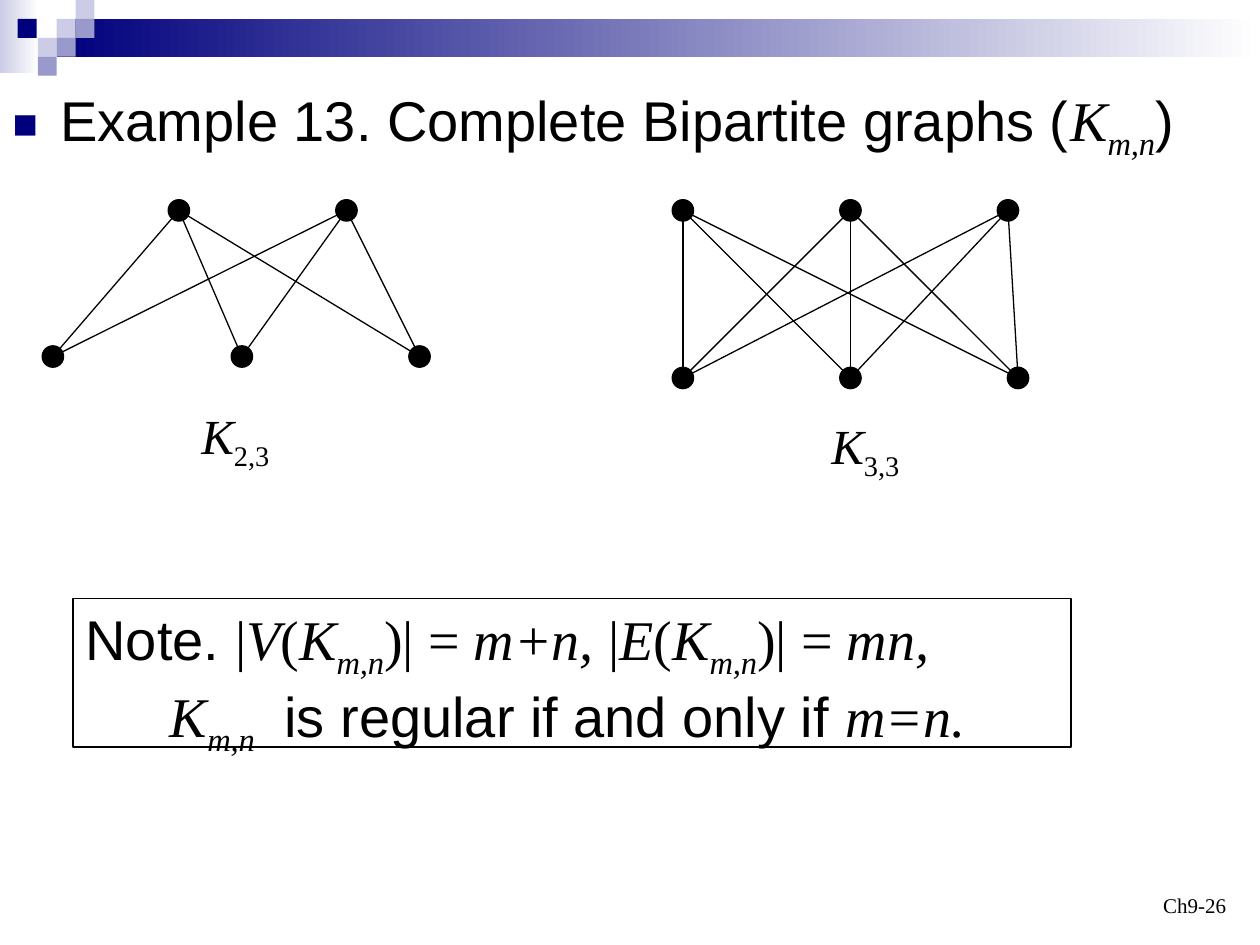
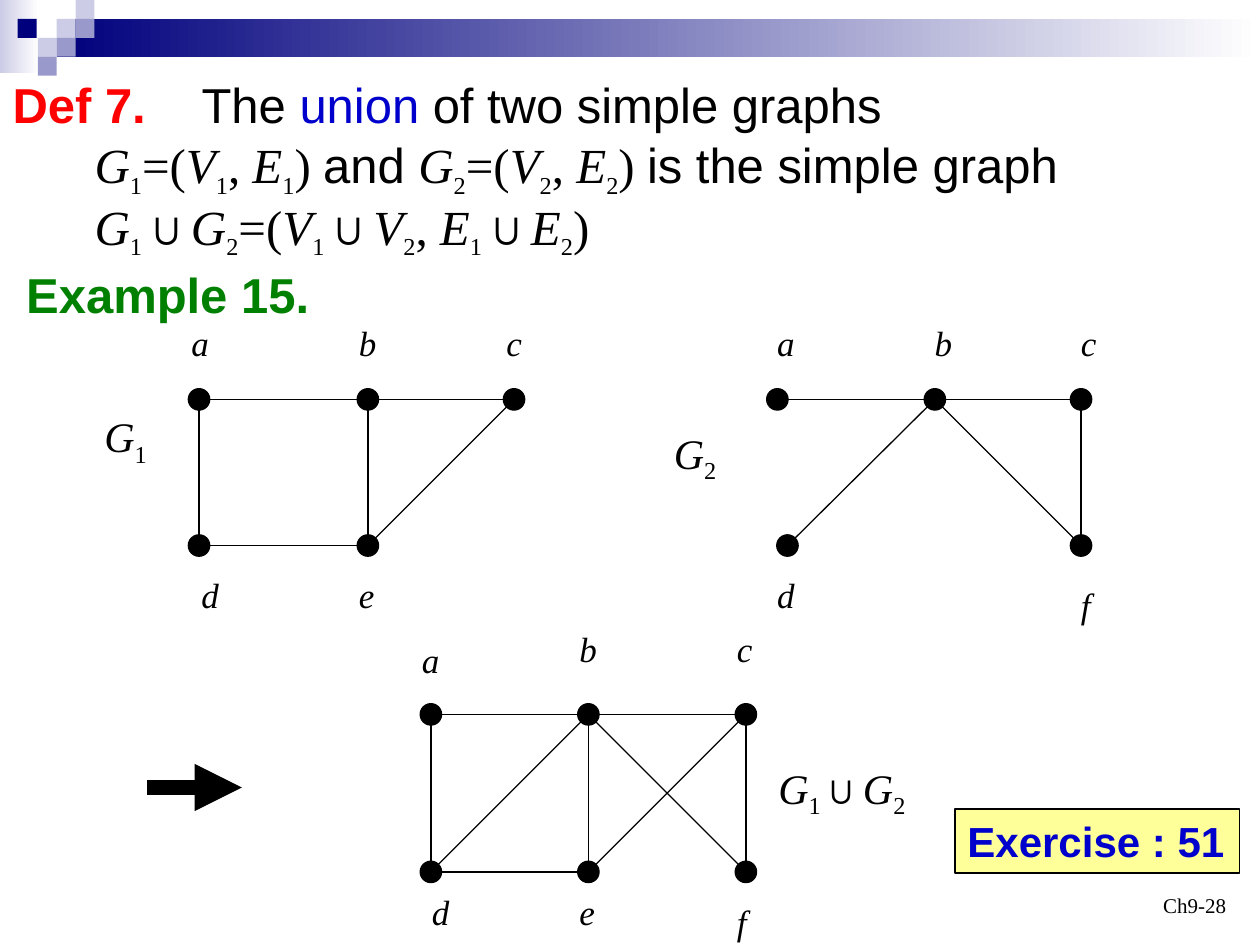
"""Build two lecture slides on complete bipartite graphs and unions of graphs."""
from itertools import groupby, product

from lxml.etree import SubElement
from pptx import Presentation
from pptx.dml.color import RGBColor
from pptx.enum.shapes import MSO_CONNECTOR as CONNECTOR, MSO_SHAPE as SHAPE
from pptx.enum.text import MSO_ANCHOR as ANCHOR, MSO_AUTO_SIZE as AUTO_SIZE, PP_ALIGN as ALIGN
from pptx.oxml.ns import qn
from pptx.util import Inches, Pt

COLORS = {
    "black": "000000", "white": "FFFFFF", "navy": "00007D", "lavender": "CCCCE6",
    "violet": "9999CC", "red": "FF0000", "blue": "0000CC", "green": "008000",
    "yellow": "FFFF99",
}
SANS, SERIF = "Arial", "Times New Roman"
STYLES = {
    "sans": dict(font=SANS),
    "union": dict(font=SANS, color="blue"),
    "definition": dict(font=SANS, color="red", bold=True),
    "example": dict(font=SANS, color="green", bold=True),
    "exercise": dict(font=SANS, color="blue", bold=True),
    "roman": dict(font=SERIF),
    "math": dict(font=SERIF, italic=True),
    "sub": dict(font=SERIF, baseline=-25000),
    "mathsub": dict(font=SERIF, italic=True, baseline=-25000),
}
TILE = 0.15
TILES = [
    (0.45, 0.15, "lavender"), (0.6, 0, "lavender"), (0.6, 0.15, "violet"),
    (0.3, 0.3, "lavender"), (0.14, 0.15, "navy"), (0.45, 0.3, "violet"),
    (0.3, 0.45, "violet"),
]
DOT = 0.17
K_MN = [("K", "math"), ("m,n", "mathsub")]
G1_EDGES = ["ab", "bc", "ad", "be", "ce", "de"]
G2_EDGES = ["ab", "bc", "bd", "bf", "cf"]
G1_VERTICES = {
    "a": (1.58, 3.17, 1.42, 2.5), "b": (2.92, 3.17, 2.75, 2.5),
    "c": (4.08, 3.17, 3.92, 2.5), "d": (1.58, 4.33, 1.5, 4.5),
    "e": (2.92, 4.33, 2.75, 4.5),
}
G2_VERTICES = {
    "a": (6.17, 3.17, 6.07, 2.5), "b": (7.42, 3.17, 7.32, 2.5),
    "c": (8.58, 3.17, 8.48, 2.5), "d": (6.25, 4.33, 6.07, 4.5),
    "f": (8.58, 4.33, 8.48, 4.58),
}
UNION_VERTICES = {
    "a": (3.42, 5.67, 3.25, 5.02), "b": (4.67, 5.67, 4.5, 4.93),
    "c": (5.92, 5.67, 5.75, 4.93), "d": (3.42, 6.92, 3.33, 7.02),
    "e": (4.67, 6.92, 4.5, 7.02), "f": (5.92, 6.92, 5.75, 7.1),
}


def rgb(name):
    """Return the named colour."""
    return RGBColor.from_string(COLORS[name])


def math_runs(formula):
    """Split a formula into runs: letters italic, a sign after _ lowered."""
    styled = []
    previous = ""
    for sign in formula:
        if sign != "_":
            style = "sub" if previous == "_" else "math" if sign.isalpha() else "roman"
            styled.append((sign, style))
        previous = sign
    return [("".join(sign for sign, _ in group), style)
            for style, group in groupby(styled, key=lambda pair: pair[1])]


def add_runs(paragraph, runs, size, sub_size=None):
    """Add styled runs to a paragraph."""
    for text, style_name in runs:
        style = STYLES[style_name]
        run = paragraph.add_run()
        run.text = text
        run.font.name = style["font"]
        run.font.size = Pt(sub_size if sub_size and "baseline" in style else size)
        run.font.bold = style.get("bold", False)
        run.font.italic = style.get("italic", False)
        run.font.color.rgb = rgb(style.get("color", "black"))
        if "baseline" in style:
            run._r.get_or_add_rPr().set("baseline", str(style["baseline"]))


def set_indent(paragraph, left, first=0, bullet=False, tab=None):
    """Set the indents of a paragraph, its bullet and its tab stop."""
    properties = paragraph._p.get_or_add_pPr()
    properties.set("marL", str(Inches(left)))
    properties.set("indent", str(Inches(first)))
    if bullet:
        color = SubElement(properties, qn("a:buClr"))
        SubElement(color, qn("a:srgbClr"), val=COLORS["navy"])
        SubElement(properties, qn("a:buSzPct"), val="75000")
        SubElement(properties, qn("a:buFont"), typeface=SANS)
        SubElement(properties, qn("a:buChar"), char="■")
    else:
        SubElement(properties, qn("a:buNone"))
    if tab:
        tabs = SubElement(properties, qn("a:tabLst"))
        SubElement(tabs, qn("a:tab"), pos=str(Inches(tab)), algn="l")


def add_text(slide, left, top, width, height, runs, size):
    """Add a text box with one paragraph and return it."""
    box = slide.shapes.add_textbox(Inches(left), Inches(top), Inches(width), Inches(height))
    box.text_frame.word_wrap = True
    add_runs(box.text_frame.paragraphs[0], runs, size)
    return box


def outline(shape):
    """Give a shape the thin black line."""
    shape.line.color.rgb = rgb("black")
    shape.line.width = Pt(0.75)


def add_block(slide, kind, left, top, width, height, color, fade=False):
    """Add a filled shape, fading to white on request, and return it."""
    shape = slide.shapes.add_shape(kind, Inches(left), Inches(top), Inches(width), Inches(height))
    shape.shadow.inherit = False
    shape.line.fill.background()
    if fade:
        shape.fill.gradient()
        shape.fill.gradient_angle = 0
        for stop, name in zip(shape.fill.gradient_stops, (color, "white")):
            stop.color.rgb = rgb(name)
    else:
        shape.fill.solid()
        shape.fill.fore_color.rgb = rgb(color)
    return shape


def add_line(slide, start, end, width=0.75):
    """Add a straight black line and return it."""
    points = [Inches(value) for value in (*start, *end)]
    line = slide.shapes.add_connector(CONNECTOR.STRAIGHT, *points)
    line.line.color.rgb = rgb("black")
    line.line.width = Pt(width)
    SubElement(line._element.spPr, qn("a:effectLst"))
    return line


def add_arrow(slide, start, end, width):
    """Add a thick line with a triangular head."""
    arrow = add_line(slide, start, end, width)
    SubElement(arrow.line._get_or_add_ln(), qn("a:tailEnd"), type="triangle")


def add_graph(slide, points, edges):
    """Draw edges between point pairs, then the vertices over them."""
    for start, end in edges:
        add_line(slide, start, end)
    for x, y in points:
        outline(add_block(slide, SHAPE.OVAL, x - DOT / 2, y - DOT / 2, DOT, DOT, "black"))


def add_labelled_graph(slide, vertices, edges):
    """Draw a graph whose vertices carry letters."""
    points = {name: place[:2] for name, place in vertices.items()}
    add_graph(slide, points.values(), [(points[start], points[end]) for start, end in edges])
    for name, (_, _, left, top) in vertices.items():
        add_text(slide, left, top, 0.5, 0.43, [(name, "math")], 20)


def add_bipartite_graph(slide, top_row, bottom_row):
    """Join every vertex of the top row to every vertex of the bottom row."""
    add_graph(slide, top_row + bottom_row, product(top_row, bottom_row))


def start_slide(presentation, number):
    """Add a slide with the band, the tiles and the page number."""
    slide = presentation.slides.add_slide(presentation.slide_layouts[1])
    title = slide.shapes.title.element
    title.getparent().remove(title)
    add_block(slide, SHAPE.RECTANGLE, 0, 0, 0.31, 0.58, "lavender", fade=True)
    add_block(slide, SHAPE.RECTANGLE, 0.45, 0.15, 9.55, 0.3, "navy", fade=True)
    for left, top, color in TILES:
        add_block(slide, SHAPE.RECTANGLE, left, top, TILE, TILE, color)
    page = add_text(slide, 7.5, 6.83, 2.33, 0.5, [(number, "roman")], 12)
    page.text_frame.vertical_anchor = ANCHOR.BOTTOM
    page.text_frame.paragraphs[0].alignment = ALIGN.RIGHT
    return slide


def place_body(slide, width, height):
    """Move the body placeholder and return its text frame."""
    body = slide.placeholders[1]
    body.left, body.top = Inches(0), Inches(0.63)
    body.width, body.height = Inches(width), Inches(height)
    body.text_frame.auto_size = AUTO_SIZE.NONE
    return body.text_frame


def build_bipartite_slide(presentation):
    """Build the slide on complete bipartite graphs."""
    slide = start_slide(presentation, "Ch9-26")
    heading = place_body(slide, 9.67, 0.67).paragraphs[0]
    set_indent(heading, 0.38, -0.38, bullet=True)
    heading.space_before = Pt(0)
    add_runs(heading, [("Example 13. Complete Bipartite graphs (", "sans"), *K_MN, (")", "sans")], 32)

    add_bipartite_graph(slide, [(x, 1.67) for x in (1.42, 2.75)],
                        [(x, 2.83) for x in (0.42, 1.92, 3.33)])
    add_bipartite_graph(slide, [(x, 1.67) for x in (5.42, 6.75, 8)],
                        [(x, 3) for x in (5.42, 6.75, 8.08)])
    for left, top, sizes in [(1.5, 3.17, "2,3"), (6.5, 3.25, "3,3")]:
        add_text(slide, left, top, 1, 0.57, [("K", "math"), (sizes, "sub")], 28)

    note = add_text(slide, 0.58, 4.75, 7.92, 1.18, [
        ("Note. ", "sans"), ("|", "roman"), ("V", "math"), ("(", "roman"), *K_MN,
        (")| = ", "roman"), ("m+n, ", "math"), ("|", "roman"), ("E", "math"),
        ("(", "roman"), *K_MN, (")| = ", "roman"), ("mn,", "math")], 32)
    outline(note)
    condition = note.text_frame.add_paragraph()
    set_indent(condition, 0.67)
    add_runs(condition, [*K_MN, (" ", "math"), (" is regular if and only if ", "sans"),
                         ("m=n.", "math")], 32)


def build_union_slide(presentation):
    """Build the slide on the union of two simple graphs."""
    slide = start_slide(presentation, "Ch9-28")
    frame = place_body(slide, 10, 1.5)
    definition = [
        [("Def 7.", "definition"), ("\tThe ", "sans"), ("union", "union"),
         (" of two simple graphs", "sans")],
        [*math_runs("G_1=(V_1, E_1) "), ("and ", "sans"), *math_runs("G_2=(V_2, E_2) "),
         ("is the simple graph", "sans")],
        math_runs("G_1∪G_2=(V_1∪V_2, E_1∪E_2)"),
    ]
    for index, runs in enumerate(definition):
        paragraph = frame.add_paragraph() if index else frame.paragraphs[0]
        set_indent(paragraph, 0.65 if index else 0, tab=None if index else 1.27)
        paragraph.line_spacing = 0.8
        paragraph.space_before = Pt(5.6 if index else 0)
        add_runs(paragraph, runs, 28, sub_size=24)
    add_text(slide, 0.11, 2.05, 3.17, 0.58, [("Example 15.", "example")], 28)

    add_labelled_graph(slide, G1_VERTICES, G1_EDGES)
    add_labelled_graph(slide, G2_VERTICES, G2_EDGES)
    add_labelled_graph(slide, UNION_VERTICES, sorted({*G1_EDGES, *G2_EDGES}))
    for left, top, name in [(0.73, 3.21, "G_1"), (5.25, 3.34, "G_2"), (6.08, 6, "G_1∪G_2")]:
        add_text(slide, left, top, 1.4, 0.5, math_runs(name), 24)
    add_arrow(slide, (1.17, 6.25), (1.92, 6.25), 9)

    exercise = add_text(slide, 7.58, 6.42, 2.26, 0.51, [("Exercise : 51", "exercise")], 24)
    exercise.text_frame.word_wrap = False
    exercise.fill.solid()
    exercise.fill.fore_color.rgb = rgb("yellow")
    outline(exercise)


def main():
    """Build and save the presentation."""
    presentation = Presentation()
    presentation.slide_width, presentation.slide_height = Inches(10), Inches(7.5)
    build_bipartite_slide(presentation)
    build_union_slide(presentation)
    presentation.save("out.pptx")


if __name__ == "__main__":
    main()
